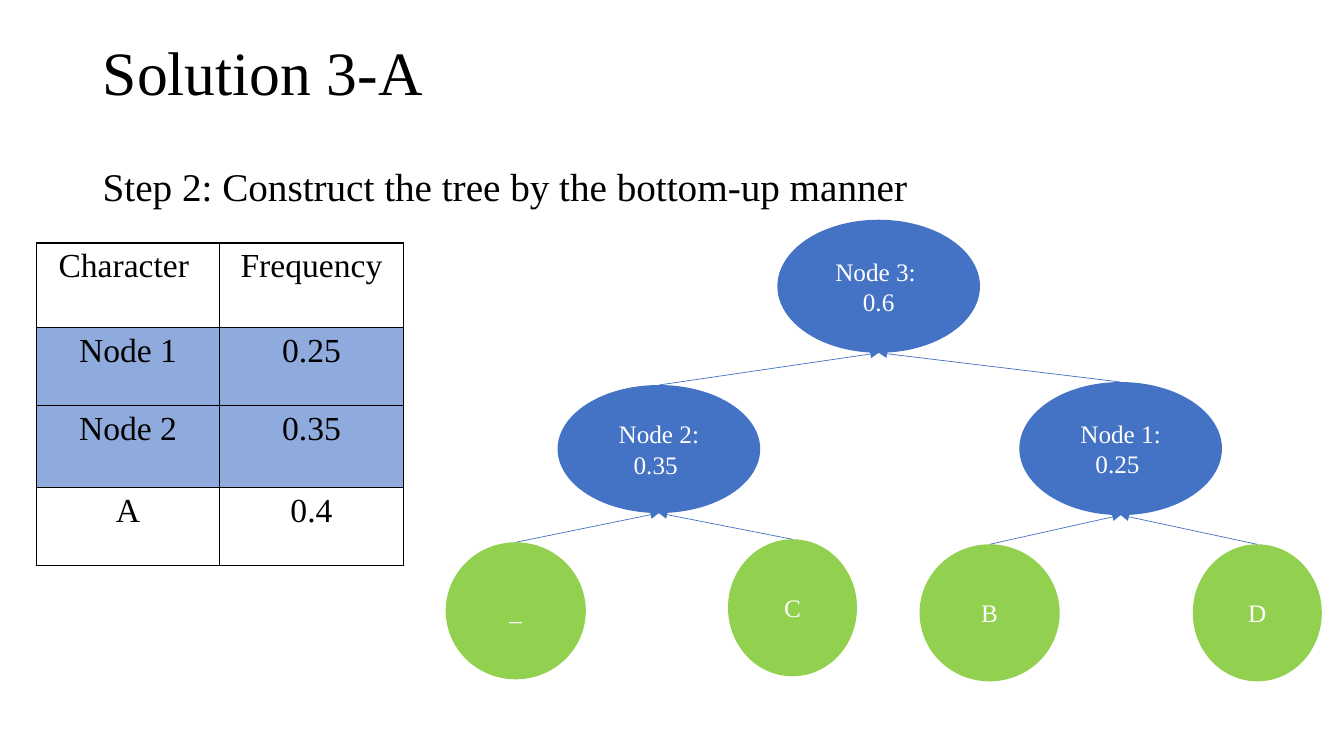
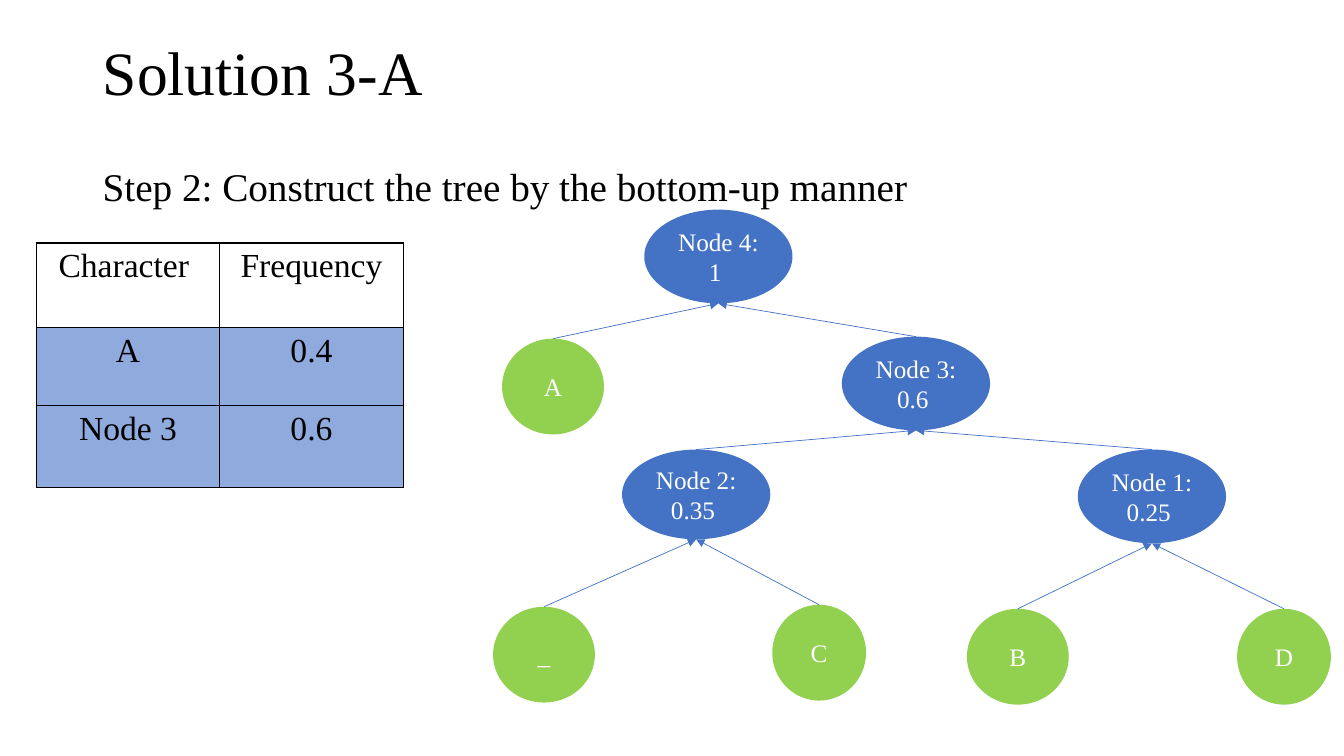
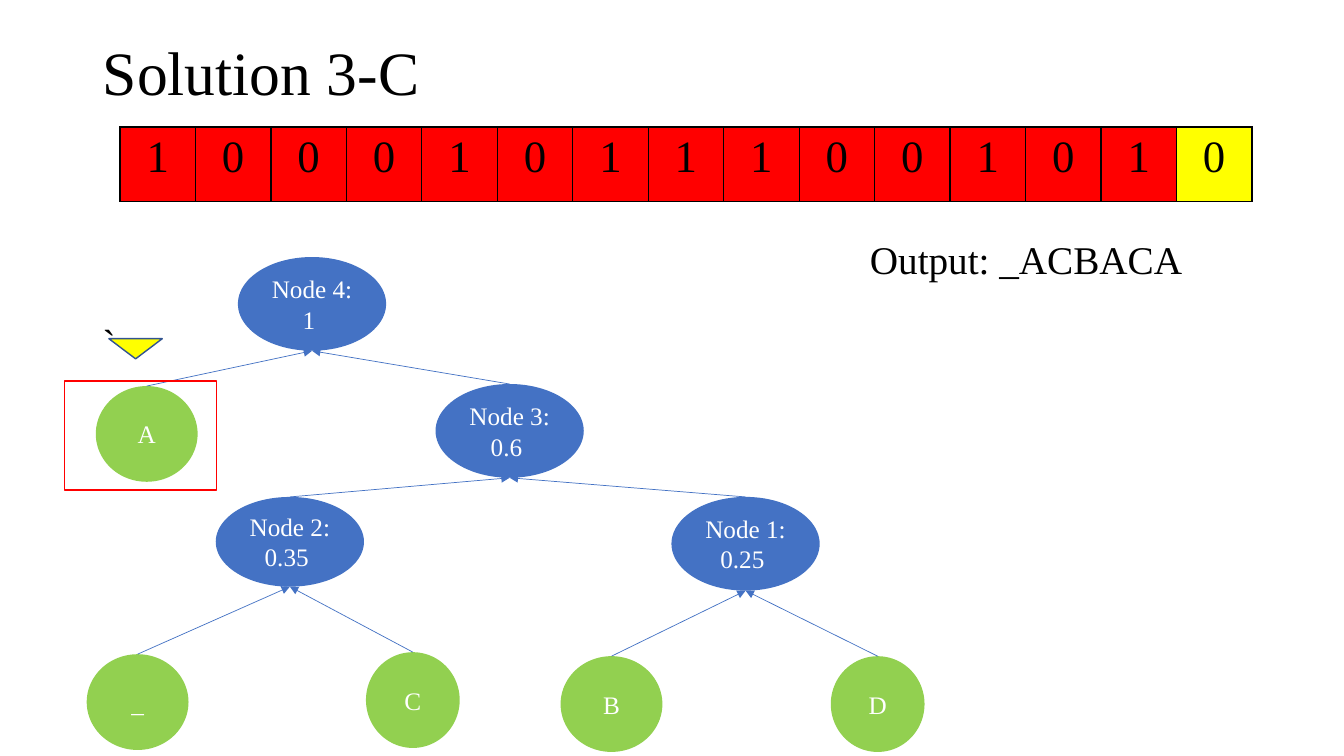
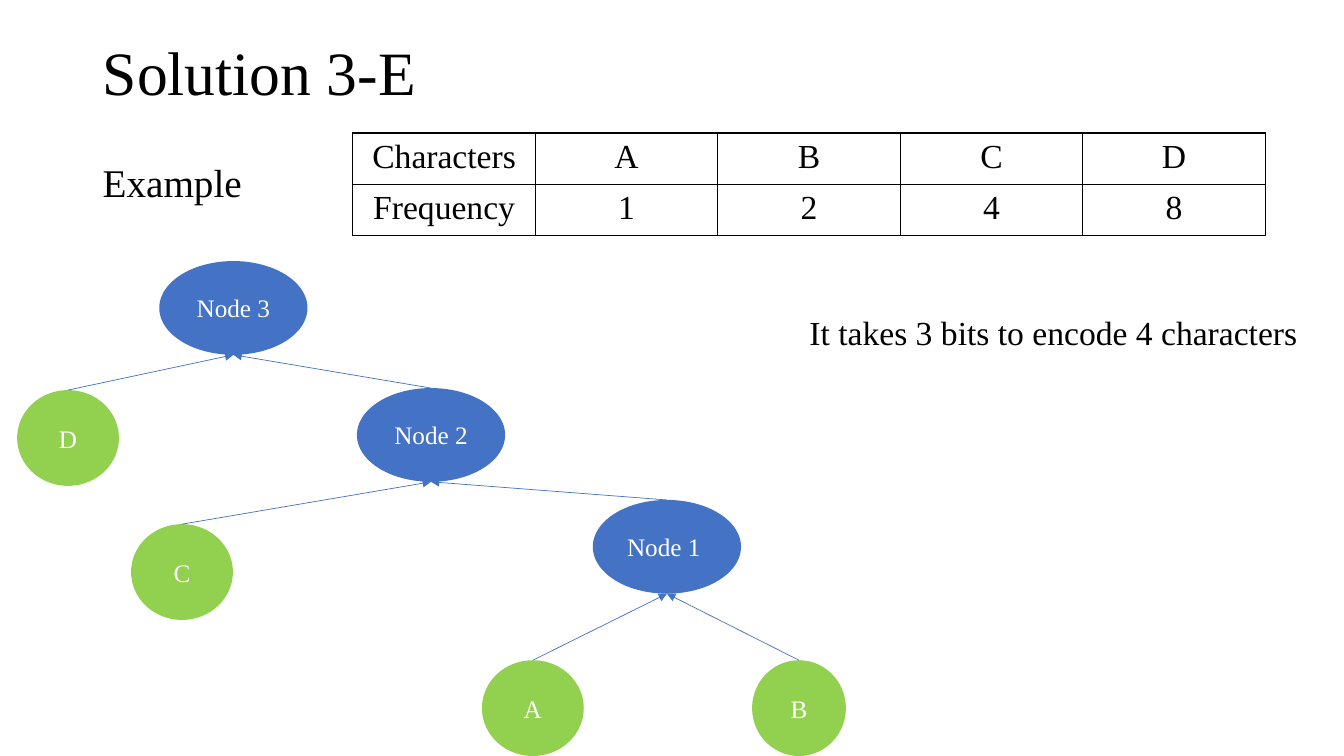
import dataclasses
import typing

import pptx
import pptx.dml.color
import pptx.enum.shapes
import pptx.enum.text
import pptx.oxml.ns
import pptx.util
from pptx.util import Inches

FONT = "Times New Roman"
BLACK, WHITE = "000000", "FFFFFF"
BLUE, PALE_BLUE, DARK_BLUE = "4472C4", "8FAADC", "325491"
GREEN, RED, YELLOW = "92D050", "FF0000", "FFFF00"

SHAPES = pptx.enum.shapes.MSO_SHAPE
LEFT = pptx.enum.text.PP_ALIGN.LEFT
CENTER = pptx.enum.text.PP_ALIGN.CENTER
TOP = pptx.enum.text.MSO_ANCHOR.TOP
MIDDLE = pptx.enum.text.MSO_ANCHOR.MIDDLE
BODY_SPACING = {"line_spacing": 0.9, "space_before": pptx.util.Pt(10)}


class Box(typing.NamedTuple):
    left: float
    top: float
    width: float
    height: float

    def lengths(self) -> list[int]:
        return [Inches(value) for value in self]


TITLE_BOX = Box(0.92, 0.02, 11.5, 1.45)
STEP_BOX = Box(0.92, 1.61, 11.5, 5.14)


@dataclasses.dataclass(frozen=True)
class TreeNode:
    text: str
    box: Box
    children: tuple["TreeNode", ...] = ()


def leaf(text: str, left: float, top: float, width: float = 1.01, height: float = 0.95) -> TreeNode:
    return TreeNode(text, Box(left, top, width, height))


def branch(text: str, left: float, top: float, *children: TreeNode,
           width: float = 1.47, height: float = 0.93) -> TreeNode:
    return TreeNode(text, Box(left, top, width, height), children)


LARGE_LEFT_LEAF = {"width": 1.39, "height": 1.36}
LARGE_RIGHT_LEAF = {"width": 1.28, "height": 1.36}
LARGE_BRANCH = {"width": 2.01, "height": 1.32}

THREE_NODE_TREE = branch(
    "Node 3: \n0.6", 7.71, 2.18,
    branch("Node 2: 0.35 ", 5.53, 3.82,
           leaf("_", 4.42, 5.38, **LARGE_LEFT_LEAF),
           leaf("C", 7.22, 5.35, **LARGE_RIGHT_LEAF),
           width=2.01, height=1.27),
    branch("Node 1: 0.25 ", 10.11, 3.79,
           leaf("B", 9.12, 5.4, **LARGE_LEFT_LEAF),
           leaf("D", 11.83, 5.4, **LARGE_RIGHT_LEAF),
           **LARGE_BRANCH),
    **LARGE_BRANCH)

FULL_TREE = branch(
    "Node 4: \n1 ", 6.39, 2.08,
    leaf("A", 4.98, 3.36),
    branch("Node 3: \n0.6 ", 8.35, 3.34,
           branch("Node 2: 0.35 ", 6.17, 4.46,
                  leaf("_", 4.89, 6.02), leaf("C", 7.66, 6, 0.93), height=0.89),
           branch("Node 1: 0.25 ", 10.69, 4.46,
                  leaf("B", 9.59, 6.04), leaf("D", 12.27, 6.04, 0.93))))

EXAMPLE_TREE = branch(
    "Node 3", 1.58, 2.59,
    leaf("D", 0.17, 3.87),
    branch("Node 2", 3.54, 3.85,
           leaf("C", 1.3, 5.2),
           branch("Node 1 ", 5.88, 4.96,
                  leaf("A", 4.78, 6.55), leaf("B", 7.46, 6.55, 0.93))))


def color(value: str) -> pptx.dml.color.RGBColor:
    return pptx.dml.color.RGBColor.from_string(value)


def set_fill(fill, value: str | None) -> None:
    if value is None:
        fill.background()
    else:
        fill.solid()
        fill.fore_color.rgb = color(value)


def write_text(frame, text: str, size: float, text_color: str = BLACK,
               alignment=LEFT, anchor=TOP, **paragraph_format) -> None:
    frame.text = text
    frame.word_wrap = True
    frame.vertical_anchor = anchor
    paragraph_format["alignment"] = alignment
    font_format = {"name": FONT, "size": pptx.util.Pt(size), "bold": False}
    for paragraph in frame.paragraphs:
        for name, value in paragraph_format.items():
            setattr(paragraph, name, value)
        for run in paragraph.runs:
            for name, value in font_format.items():
                setattr(run.font, name, value)
            run.font.color.rgb = color(text_color)


def add_title_slide(presentation, title: str):
    slide = presentation.slides.add_slide(presentation.slide_layouts[5])
    shape = slide.shapes.title
    shape.left, shape.top, shape.width, shape.height = TITLE_BOX.lengths()
    write_text(shape.text_frame, title, 44, anchor=MIDDLE, line_spacing=0.9)
    shape.text_frame.auto_size = pptx.enum.text.MSO_AUTO_SIZE.NONE
    return slide


def add_text(slide, box: Box, text: str, size: float = 28, **text_format) -> None:
    shape = slide.shapes.add_textbox(*box.lengths())
    write_text(shape.text_frame, text, size, **text_format)


def add_preset(slide, preset, box: Box, fill: str | None, line: str | None = None):
    shape = slide.shapes.add_shape(preset, *box.lengths())
    shape.shadow.inherit = False
    set_fill(shape.fill, fill)
    set_fill(shape.line.fill, line)
    if line:
        shape.line.width = pptx.util.Pt(1)
    return shape


def add_arrow(slide, child: Box, parent: Box) -> None:
    """Point from the top of the child to the bottom of its parent."""
    connector = slide.shapes.add_connector(
        pptx.enum.shapes.MSO_CONNECTOR.STRAIGHT,
        Inches(child.left + child.width / 2), Inches(child.top),
        Inches(parent.left + parent.width / 2), Inches(parent.top + parent.height))
    connector.line.width = pptx.util.Pt(0.5)
    connector.line.color.rgb = color(BLUE)
    properties = connector._element.spPr
    line = properties.find(pptx.oxml.ns.qn("a:ln"))
    line.append(pptx.oxml.parse_xml(
        f'<a:tailEnd {pptx.oxml.ns.nsdecls("a")} type="triangle"/>'))
    properties.append(pptx.oxml.parse_xml(f'<a:effectLst {pptx.oxml.ns.nsdecls("a")}/>'))


def draw_tree(slide, node: TreeNode, shift_x: float = 0, shift_y: float = 0) -> Box:
    """Draw the node and all below it, and return the node's shifted box."""
    box = node.box._replace(left=node.box.left + shift_x, top=node.box.top + shift_y)
    shape = add_preset(slide, SHAPES.OVAL, box, BLUE if node.children else GREEN)
    write_text(shape.text_frame, node.text, 18, WHITE, CENTER, MIDDLE)
    for child in node.children:
        add_arrow(slide, draw_tree(slide, child, shift_x, shift_y), box)
    return box


def add_borders(cell) -> None:
    properties = cell._tc.get_or_add_tcPr()
    for index, side in enumerate("LRTB"):
        properties.insert(index, pptx.oxml.parse_xml(
            f'<a:ln{side} {pptx.oxml.ns.nsdecls("a")} w="12700"><a:solidFill>'
            f'<a:srgbClr val="{BLACK}"/></a:solidFill></a:ln{side}>'))


def add_grid(slide, left: float, top: float, width: float, row_heights: list[float],
             rows: list[list[str]], fills: list[list[str | None]], size: float = 24) -> None:
    """Add a bordered table with columns of equal width."""
    box = Box(left, top, width, sum(row_heights))
    table = slide.shapes.add_table(len(rows), len(rows[0]), *box.lengths()).table
    table.first_row = table.horz_banding = False
    for column in table.columns:
        column.width = Inches(width / len(rows[0]))
    for row, height, texts, row_fills in zip(table.rows, row_heights, rows, fills):
        row.height = Inches(height)
        for cell, text, fill in zip(row.cells, texts, row_fills):
            write_text(cell.text_frame, text, size, alignment=CENTER)
            set_fill(cell.fill, fill)
            add_borders(cell)


def build_step_slide(presentation, entries: list[list[str]], tree: TreeNode) -> None:
    """Show the frequencies, with the two merged rows marked, beside the tree."""
    slide = add_title_slide(presentation, "Solution 3-A")
    add_text(slide, STEP_BOX, "Step 2: Construct the tree by the bottom-up manner", **BODY_SPACING)
    rows = [["Character ", "Frequency"], *entries]
    fills = [[PALE_BLUE if index in (1, 2) else None] * 2 for index in range(len(rows))]
    add_grid(slide, 0.36, 2.41, 3.64, [0.84, 0.77, 0.82, 0.77][:len(rows)], rows, fills)
    draw_tree(slide, tree)


def build_decoding_slide(presentation) -> None:
    slide = add_title_slide(presentation, "Solution 3-C")
    add_text(slide, Box(0.92, 3.11, 0.5, 0.53), "`")
    draw_tree(slide, FULL_TREE, -4.03, 0.47)
    bits = list("100010111001010")
    fills = [RED] * (len(bits) - 1) + [YELLOW]
    add_grid(slide, 1.19, 1.26, 11.23, [0.74], [bits], [fills], 32)
    add_text(slide, Box(8.53, 2.29, 3.56, 0.57), "Output: _ACBACA")
    pointer = add_preset(slide, SHAPES.ISOSCELES_TRIANGLE, Box(1.08, 3.36, 0.53, 0.2),
                         YELLOW, DARK_BLUE)
    pointer.rotation = 180
    add_preset(slide, SHAPES.RECTANGLE, Box(0.64, 3.78, 1.51, 1.08), None, RED)


def build_example_slide(presentation) -> None:
    slide = add_title_slide(presentation, "Solution 3-E")
    add_text(slide, Box(0.92, 1.57, 11.99, 0.53), "Example", anchor=MIDDLE, **BODY_SPACING)
    rows = [["Characters", *"ABCD"], ["Frequency", *"1248"]]
    add_grid(slide, 3.5, 1.32, 9.05, [0.51] * 2, rows, [[None] * 5] * 2)
    draw_tree(slide, EXAMPLE_TREE)
    add_text(slide, Box(7.93, 3.05, 5.24, 0.5), "It takes 3 bits to encode 4 characters", 24)


def main() -> None:
    presentation = pptx.Presentation()
    presentation.slide_width = Inches(13.33)
    presentation.slide_height = Inches(7.5)
    build_step_slide(presentation, [["Node 1", "0.25"], ["Node 2", "0.35"], ["A", "0.4"]],
                     THREE_NODE_TREE)
    build_step_slide(presentation, [["A", "0.4"], ["Node 3", "0.6"]], FULL_TREE)
    build_decoding_slide(presentation)
    build_example_slide(presentation)
    presentation.save("out.pptx")


if __name__ == "__main__":
    main()
